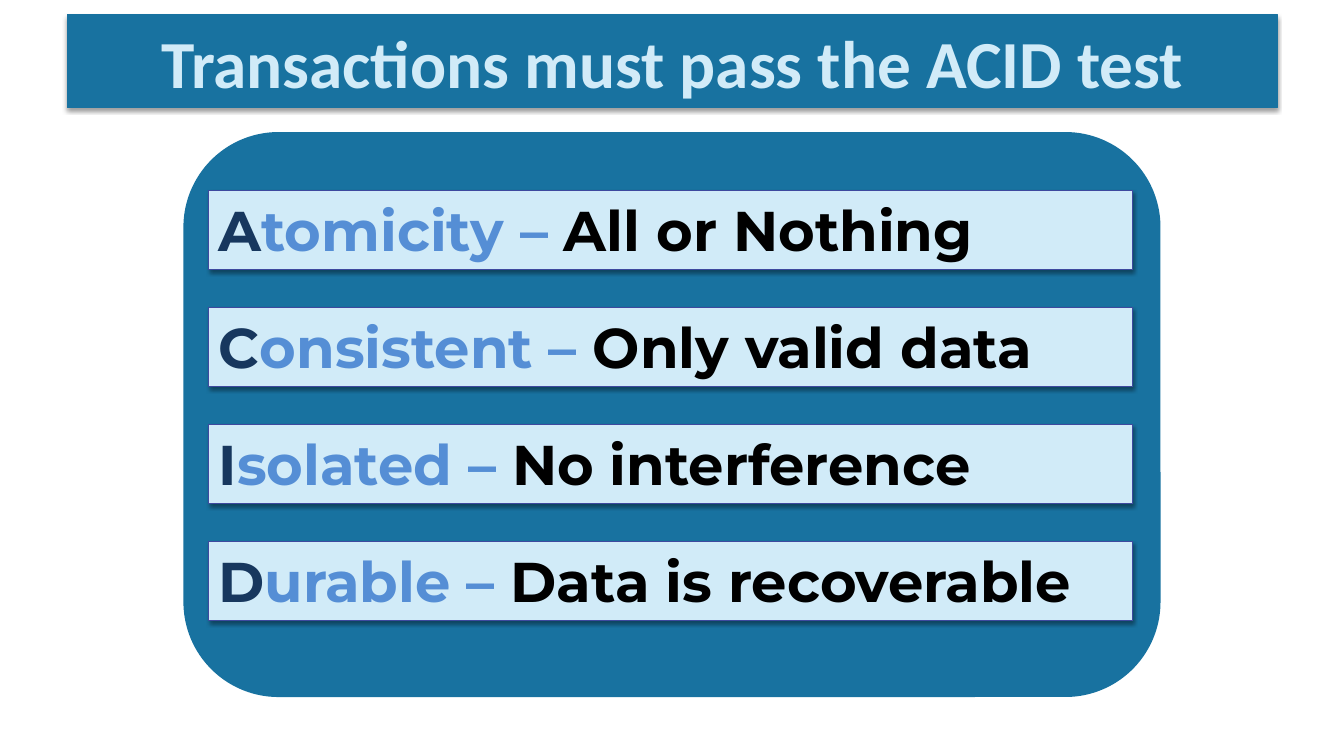
from lxml import etree
from pptx import Presentation
from pptx.dml.color import RGBColor
from pptx.enum import shapes, text
from pptx.oxml import ns
from pptx.util import Cm, Pt

TITLE = "Transactions must pass the ACID test"
PROPERTIES = [
    ("A", "tomicity – ", "All or Nothing"),
    ("C", "onsistent – ", "Only valid data"),
    ("I", "solated – ", "No interference"),
    ("D", "urable – ", "Data is recoverable"),
]

BLUE = RGBColor(0x18, 0x72, 0xA0)
PALE_BLUE = RGBColor(0xD1, 0xEB, 0xF8)
INDIGO = RGBColor(0x3E, 0x49, 0x9F)
NAVY = RGBColor(0x17, 0x37, 0x5E)
SKY_BLUE = RGBColor(0x55, 0x8E, 0xD5)
BLACK = RGBColor(0, 0, 0)
RUN_COLOURS = (NAVY, SKY_BLUE, BLACK)

BOX_LEFT, BOX_TOP, BOX_WIDTH, BOX_HEIGHT = 5.37, 4.9, 23.74, 2.03
BOX_PITCH = 3.01


def paint(shape, fill, line, line_width):
    shape.shadow.inherit = False
    shape.fill.solid()
    shape.fill.fore_color.rgb = fill
    shape.line.color.rgb = line
    shape.line.width = Pt(line_width)


def add_shadow(shape):
    effects = shape.element.spPr.find(ns.qn("a:effectLst"))
    shadow = etree.SubElement(
        effects, ns.qn("a:outerShdw"), blurRad=str(Pt(3.1)), dist=str(Pt(1.6)),
        dir="5400000", rotWithShape="0")
    colour = etree.SubElement(shadow, ns.qn("a:srgbClr"), val="000000")
    etree.SubElement(colour, ns.qn("a:alpha"), val="38000")


def format_text(shape, size, font_name, alignment, anchor):
    frame = shape.text_frame
    frame.word_wrap = True
    frame.auto_size = text.MSO_AUTO_SIZE.SHAPE_TO_FIT_TEXT
    frame.vertical_anchor = anchor
    paragraph = frame.paragraphs[0]
    paragraph.alignment = alignment
    paragraph.font.size = Pt(size)
    paragraph.font.name = font_name
    paragraph.font.bold = True
    return paragraph


def add_title(slide):
    title = slide.shapes.title
    title.left, title.top, title.width, title.height = Cm(1.73), Cm(0.38), Cm(31.09), Cm(2.39)
    title.text_frame.text = TITLE
    paint(title, BLUE, BLUE, 0.75)
    add_shadow(title)
    paragraph = format_text(title, 49, "Calibri", text.PP_ALIGN.CENTER, text.MSO_ANCHOR.MIDDLE)
    paragraph.font.color.rgb = PALE_BLUE


def add_property(slide, index, parts):
    box = slide.shapes.add_shape(
        shapes.MSO_SHAPE.RECTANGLE, Cm(BOX_LEFT), Cm(BOX_TOP + index * BOX_PITCH),
        Cm(BOX_WIDTH), Cm(BOX_HEIGHT))
    paint(box, PALE_BLUE, INDIGO, 0.75)
    add_shadow(box)
    paragraph = format_text(box, 40.8, "Montserrat", text.PP_ALIGN.LEFT, text.MSO_ANCHOR.TOP)
    for part, colour in zip(parts, RUN_COLOURS):
        run = paragraph.add_run()
        run.text = part
        run.font.color.rgb = colour


def main():
    """Build the slide on the four ACID properties of transactions."""
    presentation = Presentation()
    presentation.slide_width, presentation.slide_height = Cm(34.54), Cm(19.43)
    slide = presentation.slides.add_slide(presentation.slide_layouts[5])
    add_title(slide)
    panel = slide.shapes.add_shape(
        shapes.MSO_SHAPE.ROUNDED_RECTANGLE, Cm(4.75), Cm(3.43), Cm(25.04), Cm(14.45))
    paint(panel, BLUE, BLUE, 2)
    for index, parts in enumerate(PROPERTIES):
        add_property(slide, index, parts)
    presentation.save("out.pptx")


if __name__ == "__main__":
    main()
